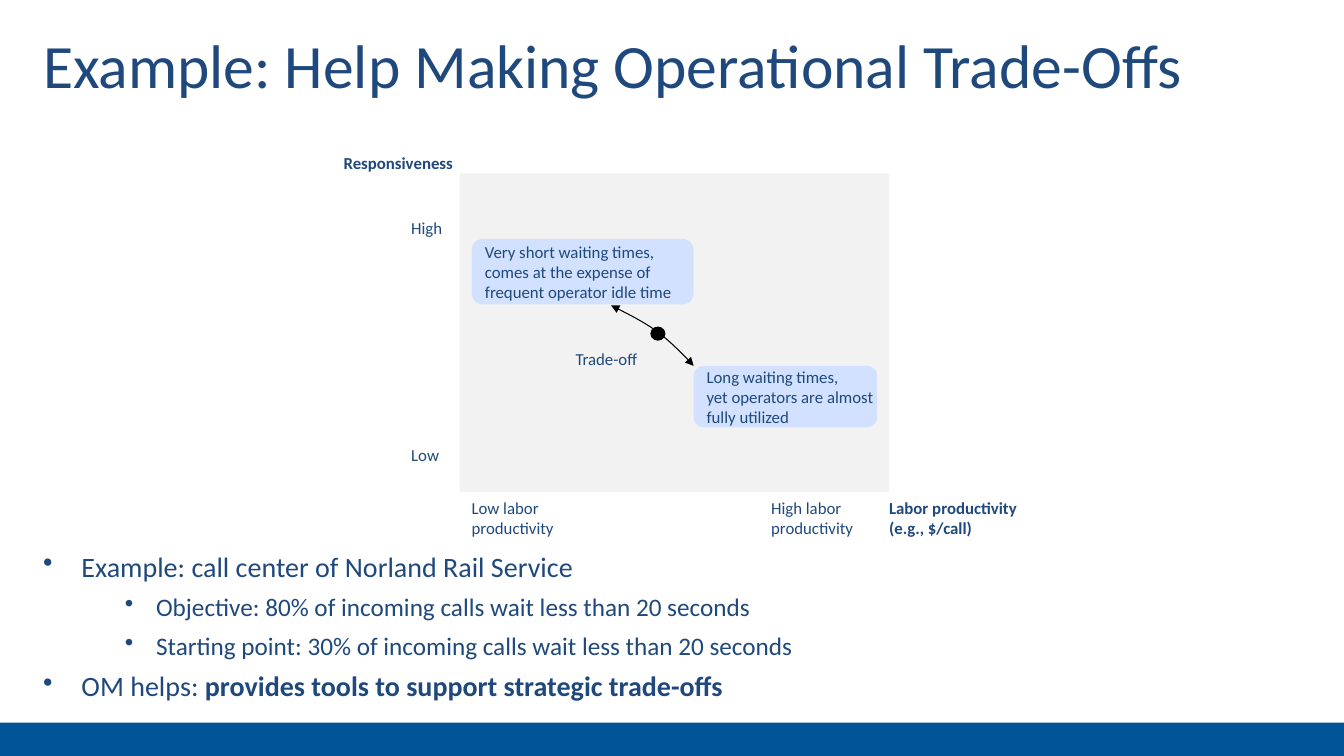
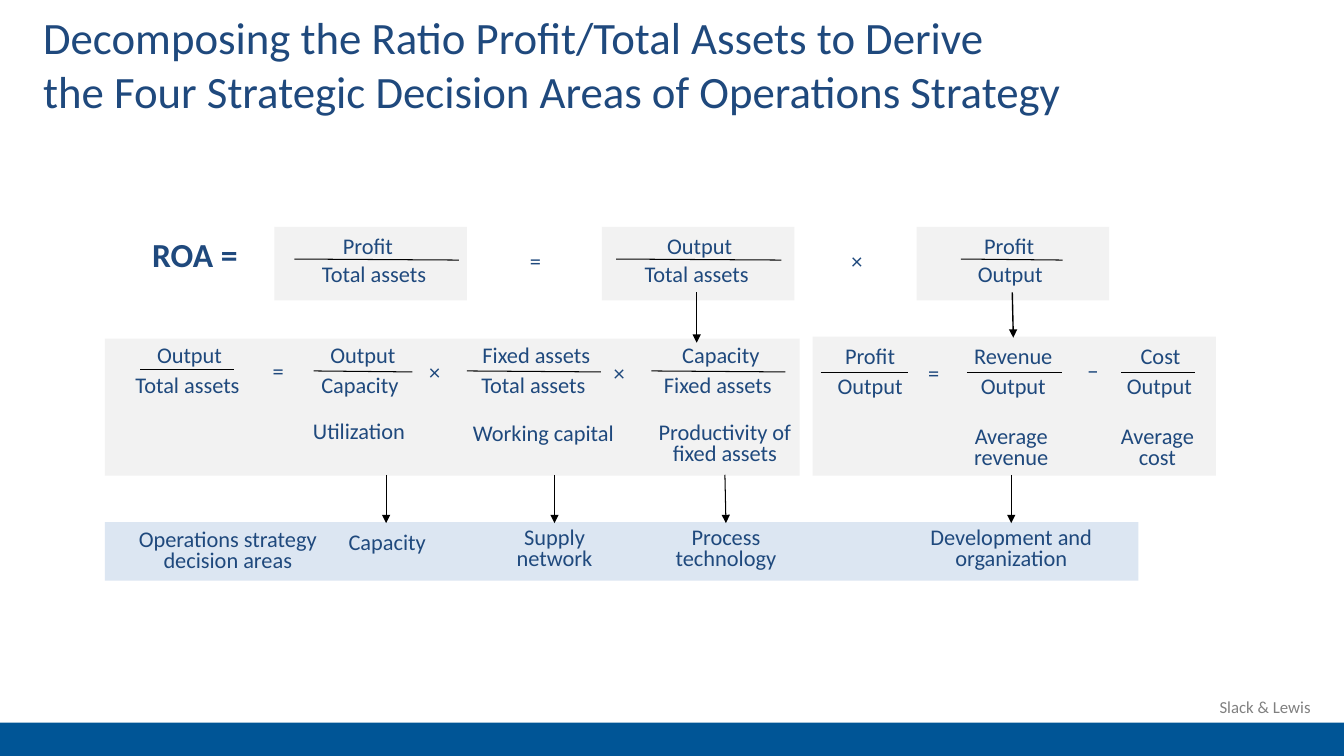
from pptx import Presentation
from pptx.dml.color import RGBColor
from pptx.enum.shapes import MSO_CONNECTOR as CONNECTOR, MSO_SHAPE as SHAPE
from pptx.enum.text import MSO_ANCHOR as ANCHOR, PP_ALIGN as ALIGN
from pptx.oxml.ns import qn
from pptx.util import Inches, Pt
from lxml import etree

COLORS = {
    "band": "005596", "text": "1F497D", "panel": "F2F2F2", "callout": "D1E1FF",
    "areas": "DCE6F2", "source": "808080", "line": "000000",
}
FONT = "Calibri"


def put(page, area, text="", size=12, bold=False, color="text", align=ALIGN.LEFT,
        anchor=ANCHOR.TOP, wrap=True, spacing=None, fill=None, kind=SHAPE.RECTANGLE):
    area = [Inches(length) for length in area]
    if fill:
        box = page.shapes.add_shape(kind, *area)
        box.shadow.inherit = False
        box.fill.solid()
        box.fill.fore_color.rgb = RGBColor.from_string(COLORS[fill])
        box.line.fill.background()
    else:
        box = page.shapes.add_textbox(*area)
    frame = box.text_frame
    frame.word_wrap = wrap
    frame.vertical_anchor = anchor
    frame.text = text
    for para in frame.paragraphs:
        para.alignment = align
        para.line_spacing = spacing
        para.font.name = FONT
        para.font.size = Pt(size)
        para.font.bold = bold
        para.font.color.rgb = RGBColor.from_string(COLORS[color])
    return box


def stroke(shape, ends=(), weight=0.75):
    shape.line.color.rgb = RGBColor.from_string(COLORS["line"])
    shape.line.width = Pt(weight)
    properties = shape.element.spPr
    outline = properties.find(qn("a:ln"))
    for end in ends:
        etree.SubElement(outline, qn(f"a:{end}"), type="triangle")
    etree.SubElement(properties, qn("a:effectLst"))


deck = Presentation()
deck.slide_width = Inches(13.33)
deck.slide_height = Inches(7.5)

titles = [
    ("Example: Help Making Operational Trade-Offs", 44),
    ("Decomposing the Ratio Profit/Total Assets to Derive\v"
     "the Four Strategic Decision Areas of Operations Strategy", 32),
]
pages = []
for title, size in titles:
    page = deck.slides.add_slide(deck.slide_layouts[6])
    put(page, (0, 7.17, 13.33, 0.33), fill="band")
    put(page, (0.33, 0.17, 12.67, 0.92), title, size, anchor=ANCHOR.MIDDLE)
    pages.append(page)
tradeoff_page, ratio_page = pages

bullets = [
    (0, ["Example: call center of Norland Rail Service"]),
    (1, ["Objective: 80% of incoming calls wait less than 20 seconds"]),
    (1, ["Starting point: 30% of incoming calls wait less than 20 seconds"]),
    (0, ["OM helps: ", "provides tools to support strategic trade-offs"]),
]
levels = [(0.38, -0.38, 20), (1.12, -0.31, 18)]
frame = put(tradeoff_page, (0.33, 5.4, 11.33, 1.69)).text_frame
for index, (level, texts) in enumerate(bullets):
    para = frame.add_paragraph() if index else frame.paragraphs[0]
    margin, indent, size = levels[level]
    para.level = level
    para.space_before = Pt(6 if index else 0)
    properties = para._p.get_or_add_pPr()
    properties.set("marL", str(Inches(margin)))
    properties.set("indent", str(Inches(indent)))
    for old in properties.findall(qn("a:defRPr")):
        properties.remove(old)
    etree.SubElement(properties, qn("a:buChar"), char="•")
    para.font.name = FONT
    para.font.size = Pt(size)
    para.font.color.rgb = RGBColor.from_string(COLORS["text"])
    for position, text in enumerate(texts):
        span = para.add_run()
        span.text = text
        if position:
            span.font.bold = True

put(tradeoff_page, (4.56, 1.72, 4.26, 3.16), fill="panel")

curves = [
    [(6.06, 3.03), (6.22, 3.11), (6.38, 3.19), (6.52, 3.29)],
    [(6.52, 3.29), (6.65, 3.39), (6.77, 3.51), (6.88, 3.63)],
]
steps = 6
points = []
for curve in curves:
    for step in range(1, steps + 1):
        t = step / steps
        weights = [(1 - t) ** 3, 3 * t * (1 - t) ** 2, 3 * t ** 2 * (1 - t), t ** 3]
        points.append([
            Inches(sum(weight * point[axis] for weight, point in zip(weights, curve)))
            for axis in (0, 1)
        ])
start_x, start_y = curves[0][0]
builder = tradeoff_page.shapes.build_freeform(Inches(start_x), Inches(start_y))
builder.add_line_segments(points, close=False)
tradeoff_curve = builder.convert_to_shape()
tradeoff_curve.fill.background()
stroke(tradeoff_curve, ("headEnd", "tailEnd"))

put(tradeoff_page, (6.45, 3.24, 0.15, 0.14), fill="line", kind=SHAPE.OVAL)

callouts = [
    ((4.68, 2.37, 2.2, 0.65),
     "Very short waiting times,\ncomes at the expense of\nfrequent operator idle time"),
    ((6.88, 3.63, 1.82, 0.61),
     "Long waiting times,\vyet operators are almost\vfully utilized"),
]
for area, text in callouts:
    put(tradeoff_page, area, text, anchor=ANCHOR.MIDDLE, wrap=False,
        fill="callout", kind=SHAPE.ROUNDED_RECTANGLE)

axis_labels = [
    ((3.31, 1.47, 1.3, 0.3), "Responsiveness", True),
    ((3.98, 2.11, 0.54, 0.3), "High", False),
    ((3.98, 4.36, 0.51, 0.3), "Low", False),
    ((5.61, 3.41, 0.84, 0.38), "Trade-off", False),
    ((4.58, 4.89, 1.04, 0.5), "Low labor\nproductivity", False),
    ((7.55, 4.89, 1.04, 0.5), "High labor\nproductivity", False),
    ((8.72, 4.89, 1.59, 0.5), "Labor productivity\n(e.g., $/call)", True),
]
for area, text, bold in axis_labels:
    put(tradeoff_page, area, text, bold=bold, wrap=False)

source = put(ratio_page, (11.59, 6.86, 1.41, 0.3), "Slack & Lewis",
             color="source", align=ALIGN.RIGHT)
source.text_frame.margin_right = 0

for left in (2.72, 5.97, 9.09):
    put(ratio_page, (left, 2.25, 1.91, 0.73), fill="panel")
put(ratio_page, (1.04, 3.36, 6.89, 1.36), fill="panel")
put(ratio_page, (8.06, 3.34, 4, 1.38), fill="panel")
put(ratio_page, (1.04, 5.18, 10.25, 0.58), fill="areas")
put(ratio_page, (1.41, 2.27, 1.22, 0.5), "ROA =", 24, True)

fraction_rows = [
    (2.25, 2.53, 2.57, 2.58, [
        ("Profit", 3.65, "Total assets", 3.71, 2.92, 4.55),
        ("Output", 6.94, "Total assets", 6.91, 6.11, 7.75),
        ("Profit", 10.01, "Output", 10.02, 9.53, 10.54),
    ]),
    (3.34, 3.63, 3.67, 3.67, [
        ("Output", 1.88, "Total assets", 1.86, 1.39, 2.32),
    ]),
    (3.34, 3.63, 3.68, 3.69, [
        ("Output", 3.6, "Capacity", 3.57, 3.11, 4.09),
        ("Fixed assets", 5.32, "Total assets", 5.29, 4.63, 5.96),
        ("Capacity", 7.15, "Fixed assets", 7.12, 6.46, 7.79),
    ]),
    (3.35, 3.64, 3.7, 3.7, [
        ("Profit", 8.63, "Output", 8.63, 8.14, 9.01),
        ("Revenue", 10.05, "Output", 10.05, 9.59, 10.53),
        ("Cost", 11.51, "Output", 11.5, 11.12, 11.85),
    ]),
]
labels = [
    ("=", 5.31, 2.4, 0.38, None),
    ("×", 8.5, 2.4, 0.38, None),
    ("=", 2.76, 3.49, 0.38, None),
    ("×", 4.31, 3.5, 0.38, None),
    ("×", 6.14, 3.51, 0.38, None),
    ("=", 9.26, 3.51, 0.38, None),
    ("−", 10.84, 3.49, 0.38, None),
    ("Utilization", 3.56, 4.09, 1.41, None),
    ("Working capital", 5.39, 4.11, 1.96, None),
    ("Productivity of fixed assets", 7.19, 4.15, 1.96, 0.8),
    ("Average revenue", 10.03, 4.19, 1.16, 0.8),
    ("Average cost", 11.48, 4.19, 1.16, 0.8),
    ("Operations strategy decision areas", 2.26, 5.21, 2.47, 0.8),
    ("Capacity", 3.84, 5.19, 1.45, None),
    ("Supply network", 5.5, 5.19, 1.45, 0.8),
    ("Process technology", 7.2, 5.19, 1.45, 0.8),
    ("Development and organization", 10.03, 5.19, 1.96, 0.8),
]
arrow = ("tailEnd",)
lines = [
    (6.91, 2.9, 6.91, 3.4, arrow, 0.75),
    (10.04, 2.9, 10.05, 3.35, arrow, 1),
    (3.83, 4.71, 3.83, 5.19, arrow, 0.75),
    (5.5, 4.71, 5.5, 5.19, arrow, 0.75),
    (7.19, 4.71, 7.2, 5.19, arrow, 0.75),
    (10.03, 4.71, 10.03, 5.19, arrow, 0.75),
]
for upper, lower, bar_start, bar_end, fractions in fraction_rows:
    for numerator, upper_center, denominator, lower_center, left, right in fractions:
        labels.append((numerator, upper_center, upper, 1.8, None))
        labels.append((denominator, lower_center, lower, 1.8, None))
        lines.append((left, bar_start, right, bar_end, (), 0.75))

for text, center, top, width, spacing in labels:
    height = 0.53 if spacing else 0.37
    put(ratio_page, (center - width / 2, top, width, height), text, 16,
        align=ALIGN.CENTER, spacing=spacing)

for *ends, heads, weight in lines:
    connector = ratio_page.shapes.add_connector(
        CONNECTOR.STRAIGHT, *[Inches(length) for length in ends])
    stroke(connector, heads, weight)

deck.save("out.pptx")
